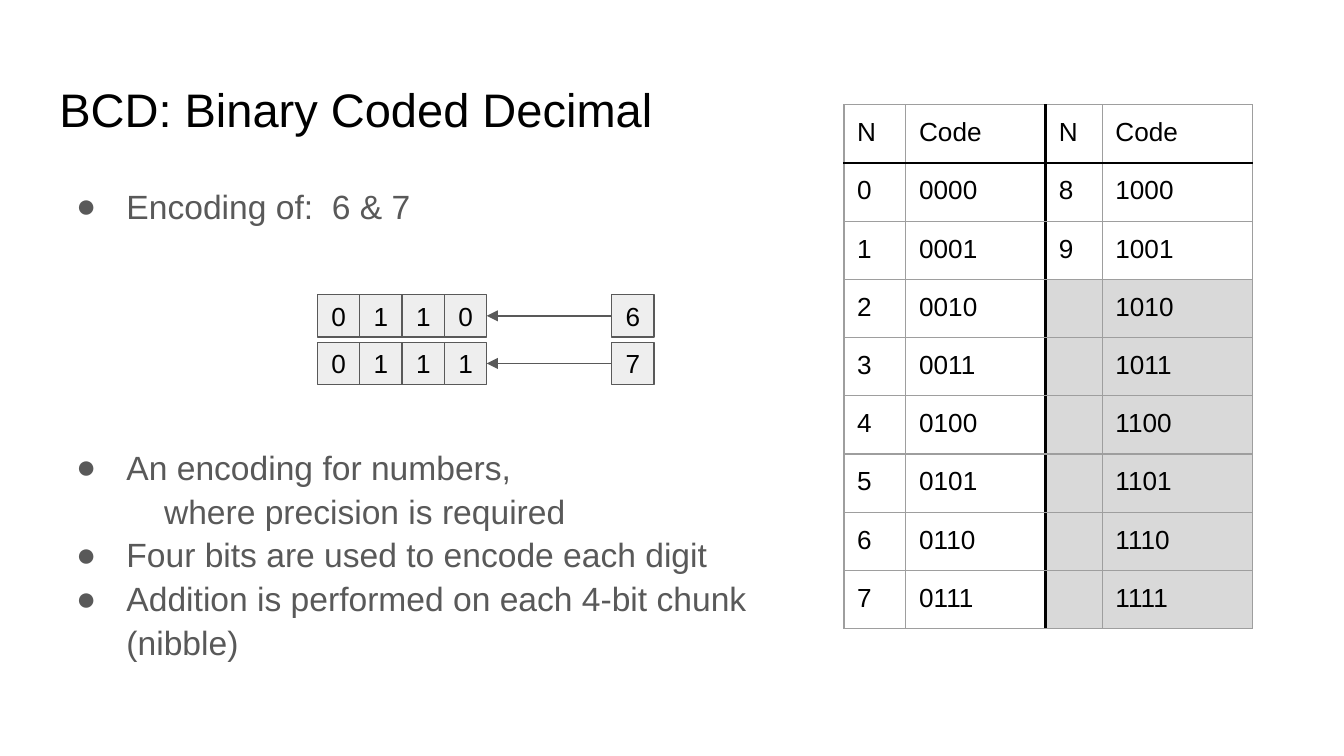
import lxml.etree
import pptx
import pptx.dml.color
import pptx.enum.shapes
import pptx.enum.text
import pptx.oxml.ns
import pptx.util

Cm = pptx.util.Cm
Pt = pptx.util.Pt
qn = pptx.oxml.ns.qn

COLORS = {
    "black": "000000",
    "body": "595959",
    "bit": "EEEEEE",
    "unused": "D9D9D9",
    "grid": "9E9E9E",
}
FONT = "Arial"
INSET = 0.25
BULLETS = [
    ("Encoding of:  6 & 7", True, 0),
    ("An encoding for numbers,", True, 116),
    ("where precision is required", False, 0),
    ("Four bits are used to encode each digit", True, 0),
    ("Addition is performed on each 4-bit chunk (nibble)", True, 0),
]


def color(name):
    return pptx.dml.color.RGBColor.from_string(COLORS[name])


def add_xml(parent, tag, **attributes):
    return lxml.etree.SubElement(parent, qn(tag), attributes)


def set_font(paragraph, size, color_name):
    paragraph.font.name = FONT
    paragraph.font.size = Pt(size)
    paragraph.font.bold = False
    paragraph.font.color.rgb = color(color_name)


def set_frame(frame, anchor):
    frame.margin_left = frame.margin_right = Cm(INSET)
    frame.margin_top = frame.margin_bottom = Cm(INSET)
    frame.word_wrap = True
    frame.auto_size = pptx.enum.text.MSO_AUTO_SIZE.NONE
    frame.vertical_anchor = anchor


def place(shape, left, top, width, height):
    shape.left, shape.top = Cm(left), Cm(top)
    shape.width, shape.height = Cm(width), Cm(height)


def fill_title(shape, box):
    place(shape, *box)
    set_frame(shape.text_frame, pptx.enum.text.MSO_ANCHOR.BOTTOM)
    paragraph = shape.text_frame.paragraphs[0]
    paragraph.text = "BCD: Binary Coded Decimal"
    paragraph.alignment = pptx.enum.text.PP_ALIGN.LEFT
    set_font(paragraph, 25.2, "black")


def set_bullet(paragraph, bulleted):
    properties = paragraph._p.get_or_add_pPr()
    properties.set("marL", str(Cm(1.27 if bulleted else 1.98)))
    properties.set("indent", str(Cm(-0.95 if bulleted else 0)))
    if bulleted:
        bullet_color = add_xml(properties, "a:buClr")
        add_xml(bullet_color, "a:srgbClr", val=COLORS["body"])
        add_xml(properties, "a:buFont", typeface=FONT)
        add_xml(properties, "a:buChar", char="●")
    else:
        add_xml(properties, "a:buNone")


def fill_body(shape, box):
    place(shape, *box)
    frame = shape.text_frame
    set_frame(frame, pptx.enum.text.MSO_ANCHOR.TOP)
    for index, (text, bulleted, gap) in enumerate(BULLETS):
        paragraph = frame.add_paragraph() if index else frame.paragraphs[0]
        paragraph.text = text
        set_bullet(paragraph, bulleted)
        paragraph.alignment = pptx.enum.text.PP_ALIGN.LEFT
        paragraph.line_spacing = 1.09
        paragraph.space_before = Pt(gap)
        paragraph.space_after = Pt(0)
        set_font(paragraph, 18, "body")


def set_border(cell, side, color_name, width):
    line = add_xml(cell._tc.get_or_add_tcPr(), f"a:ln{side}", w=str(Pt(width)))
    fill = add_xml(line, "a:solidFill")
    add_xml(fill, "a:srgbClr", val=COLORS[color_name])


def add_code_table(slide, box):
    rows = [("N", "Code", "N", "Code")]
    for number in range(8):
        other = number + 8
        label = str(other) if other < 10 else ""
        rows.append((str(number), f"{number:04b}", label, f"{other:04b}"))
    left, top, width, height = map(Cm, box)
    table = slide.shapes.add_table(len(rows), 4, left, top, width, height).table
    table.first_row = table.horz_banding = False
    for column, column_width in zip(table.columns, (1.17, 2.64, 1.07, 2.84)):
        column.width = Cm(column_width)
    for row_index, texts in enumerate(rows):
        for column_index, text in enumerate(texts):
            cell = table.cell(row_index, column_index)
            cell.margin_left = cell.margin_right = Cm(INSET)
            cell.margin_top = cell.margin_bottom = Cm(INSET)
            heavy = {
                "L": column_index == 2,
                "R": column_index == 1,
                "T": row_index == 1,
                "B": row_index == 0,
            }
            for side, is_heavy in heavy.items():
                set_border(cell, side, *(("black", 1.5) if is_heavy else ("grid", 0.75)))
            if row_index > 2 and column_index > 1:
                cell.fill.solid()
                cell.fill.fore_color.rgb = color("unused")
            else:
                cell.fill.background()
            paragraph = cell.text_frame.paragraphs[0]
            paragraph.text = text
            set_font(paragraph, 14, "black")


def add_square(shapes, text, left, top, side):
    shape = shapes.add_shape(
        pptx.enum.shapes.MSO_SHAPE.RECTANGLE, Cm(left), Cm(top), Cm(side), Cm(side)
    )
    shape.shadow.inherit = False
    shape.fill.solid()
    shape.fill.fore_color.rgb = color("bit")
    shape.line.color.rgb = color("body")
    shape.line.width = Pt(0.75)
    set_frame(shape.text_frame, pptx.enum.text.MSO_ANCHOR.MIDDLE)
    paragraph = shape.text_frame.paragraphs[0]
    paragraph.text = text
    paragraph.alignment = pptx.enum.text.PP_ALIGN.CENTER
    set_font(paragraph, 14, "black")
    return shape


def add_arrow(slide, source, target):
    arrow = slide.shapes.add_connector(pptx.enum.shapes.MSO_CONNECTOR.STRAIGHT, 0, 0, 0, 0)
    arrow.begin_connect(source, 1)
    arrow.end_connect(target, 3)
    arrow.line.color.rgb = color("body")
    arrow.line.width = Pt(0.75)
    add_xml(arrow.line._get_or_add_ln(), "a:tailEnd", type="triangle")
    add_xml(arrow._element.spPr, "a:effectLst")


def add_encoding_diagram(slide, box):
    left, top, width, height = box
    side = 0.8
    for index, number in enumerate((6, 7)):
        row_top = top + index * (height - side)
        group = slide.shapes.add_group_shape()
        bits = [
            add_square(group.shapes, bit, left + position * side, row_top, side)
            for position, bit in enumerate(f"{number:04b}")
        ]
        digit = add_square(slide.shapes, str(number), left + width - side, row_top, side)
        add_arrow(slide, digit, bits[-1])


def main():
    presentation = pptx.Presentation()
    presentation.slide_width = Cm(25.4)
    presentation.slide_height = Cm(14.29)
    slide = presentation.slides.add_slide(presentation.slide_layouts[1])
    fill_title(slide.shapes.title, (0.87, 1.24, 23.67, 1.59))
    fill_body(slide.placeholders[1], (0.87, 3.2, 15.08, 9.5))
    add_code_table(slide, (15.95, 1.98, 7.72, 9.9))
    add_encoding_diagram(slide, (6, 5.57, 6.36, 1.7))
    presentation.save("out.pptx")


if __name__ == "__main__":
    main()
